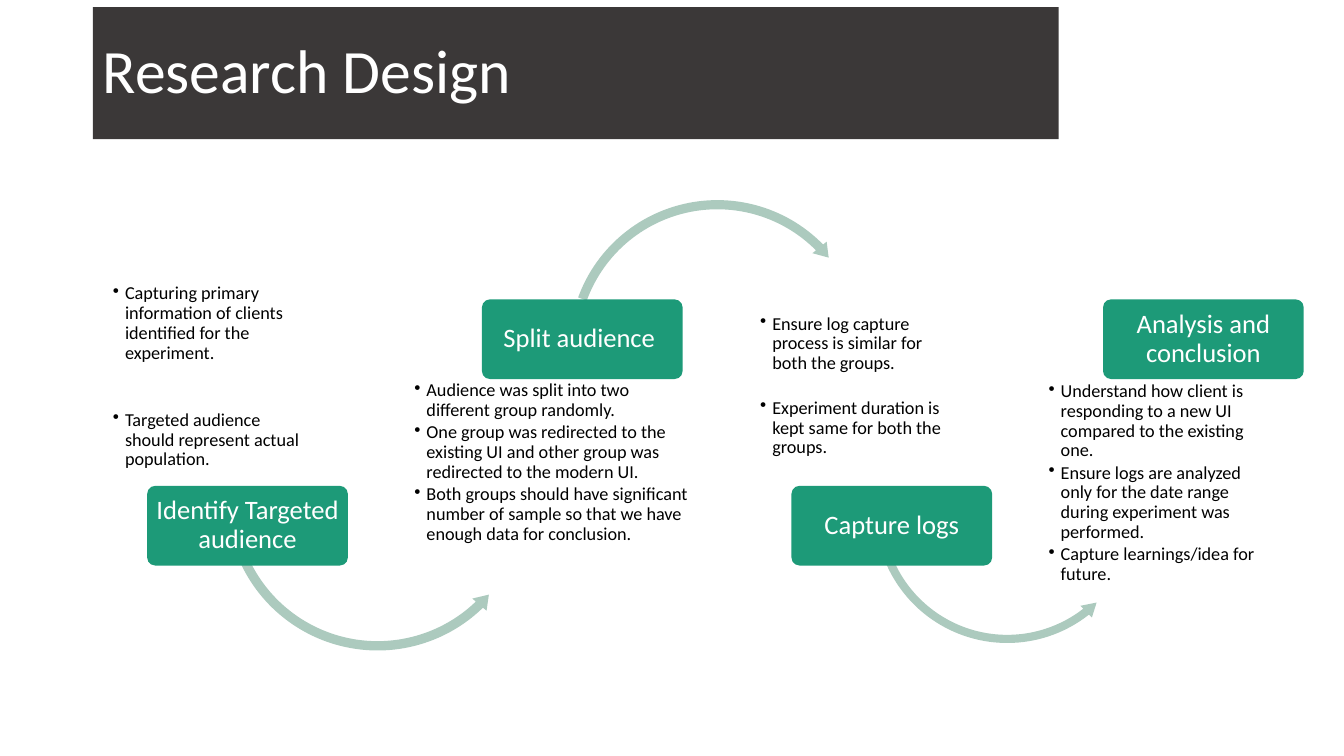
import pptx
import pptx.dml.color
import pptx.enum.shapes
import pptx.enum.text
import pptx.oxml
import pptx.oxml.ns
import pptx.util
from pptx.util import Inches

SHAPE = pptx.enum.shapes.MSO_SHAPE
ALIGN = pptx.enum.text.PP_ALIGN
ANCHOR = pptx.enum.text.MSO_ANCHOR

DARK, GREEN, PALE_GREEN = "3B3838", "1D9A78", "ACCABE"
WHITE, BLACK = "FFFFFF", "000000"

STEPS = [
    {
        "title": "Identify Targeted audience",
        "label_at": (1.46, 4.82),
        "card": (0.92, 2.62, 2.31, 2.7),
        "notes_at": (0.98, 2.68, 2.18, 2),
        "gap": 32,
        "notes": ["Capturing primary information of clients identified for the experiment.",
                  "Targeted audience should represent actual population."],
        "arrow": {"kind": SHAPE.LEFT_CIRCULAR_ARROW, "at": (2.2, 3.41), "size": 3.09,
                  "rotation": 8.4, "adjust": (0.03, 3.22, 22.52, 91.79, 0.03)},
    },
    {
        "title": "Split audience ",
        "label_at": (4.78, 2.97),
        "card": (3.9, 2.96, 3.13, 2.87),
        "notes_at": (3.97, 3.64, 3, 2.12),
        "notes": ["Audience was split into two different group randomly.",
                  "One group was redirected to the existing UI and other group was "
                  "redirected to the modern UI.",
                  "Both groups should have significant number of sample so that we have "
                  "enough data for conclusion."],
        "arrow": {"kind": SHAPE.CIRCULAR_ARROW, "at": (5.6, 1.94), "size": 3.03,
                  "rotation": 0, "adjust": (0.03, 3.28, 189.24, 120.04, 0.03)},
    },
    {
        "title": "Capture logs",
        "label_at": (7.85, 4.82),
        "card": (7.34, 2.62, 2.24, 2.54),
        "notes_at": (7.4, 2.67, 2.12, 1.88),
        "top_inset": 0.45,
        "gap": 16,
        "notes": ["Ensure log capture process is similar for both the groups.",
                  "Experiment duration is kept same for both the groups."],
        "arrow": {"kind": SHAPE.LEFT_CIRCULAR_ARROW, "at": (8.64, 3.72), "size": 2.7,
                  "rotation": 11.9, "adjust": (0.03, 3.72, 23.99, 92.76, 0.03)},
    },
    {
        "title": "Analysis and conclusion",
        "label_at": (10.94, 2.97),
        "card": (10.19, 2.94, 2.66, 3.02),
        "notes_at": (10.26, 3.65, 2.52, 2.23),
        "notes": ["Understand how client is responding to a new UI compared to the existing one.",
                  "Ensure logs are analyzed only for the date range during experiment was "
                  "performed.",
                  "Capture learnings/idea for future."],
    },
]


def rgb(color):
    return pptx.dml.color.RGBColor.from_string(color)


def add_bullet(paragraph, indent):
    properties = paragraph._p.get_or_add_pPr()
    properties.set("marL", str(Inches(indent)))
    properties.set("indent", str(-Inches(indent)))
    bullet = pptx.oxml.parse_xml(
        f'<a:buChar {pptx.oxml.ns.nsdecls("a")} char="•"/>')
    properties.append(bullet)


def write_text(shape, lines, size, color, align=ALIGN.LEFT, anchor=ANCHOR.MIDDLE,
               insets=(0.1, 0.05, 0.1, 0.05), bullets=False, gap=0, after=0):
    """Write one paragraph per line; gap is extra space between paragraphs."""
    frame = shape.text_frame
    frame.word_wrap = True
    frame.vertical_anchor = anchor
    (frame.margin_left, frame.margin_top,
     frame.margin_right, frame.margin_bottom) = map(Inches, insets)
    for index, line in enumerate(lines):
        paragraph = frame.add_paragraph() if index else frame.paragraphs[0]
        paragraph.alignment = align
        paragraph.line_spacing = 0.9
        paragraph.space_before = pptx.util.Pt(gap if index else 0)
        paragraph.space_after = pptx.util.Pt(after)
        if bullets:
            add_bullet(paragraph, 0.12)
        run = paragraph.add_run()
        run.text = line
        run.font.name = "Calibri"
        run.font.size = pptx.util.Pt(size)
        run.font.color.rgb = rgb(color)


def add_filled(slide, kind, box, color, adjust=(), opacity=100):
    shape = slide.shapes.add_shape(kind, *map(Inches, box))
    shape.shadow.inherit = False
    shape.fill.solid()
    shape.fill.fore_color.rgb = rgb(color)
    shape.line.fill.background()
    for index, value in enumerate(adjust):
        shape.adjustments[index] = value
    if opacity < 100:
        fill_color = shape._element.spPr.find(
            ".//" + pptx.oxml.ns.qn("a:srgbClr"))
        fill_color.append(pptx.oxml.parse_xml(
            f'<a:alpha {pptx.oxml.ns.nsdecls("a")} val="{opacity * 1000}"/>'))
    return shape


def add_title(slide, title):
    banner = add_filled(slide, SHAPE.RECTANGLE, (0.92, 0.07, 9.58, 1.31), DARK)
    write_text(banner, [title], 44, WHITE)


def add_notes(slide, step):
    add_filled(slide, SHAPE.ROUNDED_RECTANGLE, step["card"], WHITE, (0.1,), opacity=90)
    notes = slide.shapes.add_textbox(*map(Inches, step["notes_at"]))
    write_text(notes, step["notes"], 13, BLACK, anchor=ANCHOR.TOP,
               insets=(0.14, step.get("top_inset", 0.14), 0.14, 0.14),
               bullets=True, gap=step.get("gap", 0), after=2)


def add_arrow(slide, kind, at, size, rotation, adjust):
    arrow = add_filled(slide, kind, (*at, size, size), PALE_GREEN, adjust)
    arrow.rotation = rotation


def add_label(slide, step):
    label = add_filled(slide, SHAPE.ROUNDED_RECTANGLE,
                       (*step["label_at"], 1.99, 0.79), GREEN, (0.1,))
    write_text(label, [step["title"]], 19, WHITE, align=ALIGN.CENTER,
               insets=(0.06, 0.05, 0.06, 0.05))


def main():
    presentation = pptx.Presentation()
    presentation.slide_width = Inches(13.33)
    presentation.slide_height = Inches(7.5)
    slide = presentation.slides.add_slide(presentation.slide_layouts[6])
    add_title(slide, "Research Design")
    for step in STEPS:
        add_notes(slide, step)
        if "arrow" in step:
            add_arrow(slide, **step["arrow"])
        add_label(slide, step)
    presentation.save("out.pptx")


if __name__ == "__main__":
    main()
